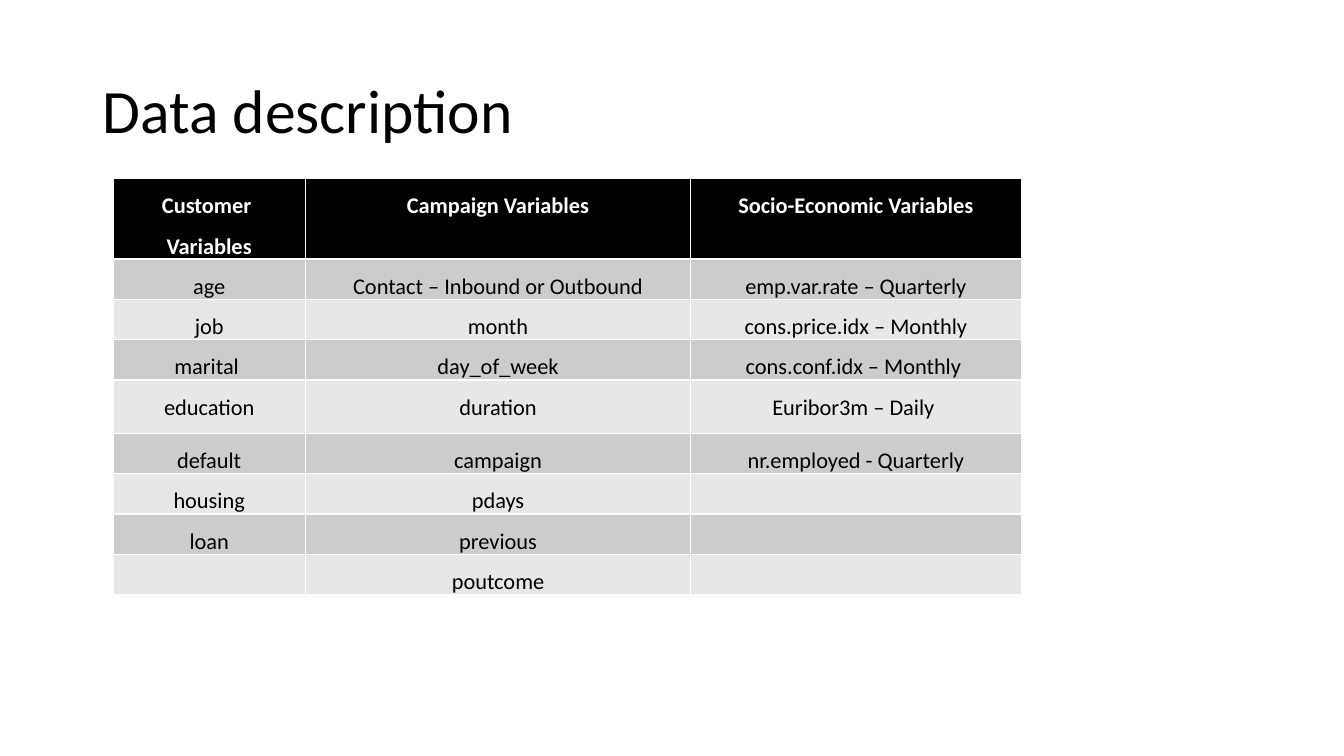
from pptx import Presentation
from pptx.dml.color import RGBColor
from pptx.enum.text import MSO_ANCHOR, PP_ALIGN
from pptx.util import Inches, Pt

BLACK = RGBColor(0x00, 0x00, 0x00)
WHITE = RGBColor(0xFF, 0xFF, 0xFF)
DARK_BAND = RGBColor(0xCC, 0xCC, 0xCC)
LIGHT_BAND = RGBColor(0xE7, 0xE7, 0xE7)
FONT = "Calibri"

COLUMN_WIDTHS = [1.91, 3.82, 3.28]
ROW_HEIGHTS = [0.48, 0.31, 0.38, 0.38, 0.53, 0.36, 0.31, 0.31, 0.34]
VARIABLES = [
    ("Customer \vVariables", "Campaign Variables", "Socio-Economic Variables"),
    ("age", "Contact – Inbound or Outbound", "emp.var.rate – Quarterly"),
    ("job", "month", "cons.price.idx – Monthly"),
    ("marital ", "day_of_week", "cons.conf.idx – Monthly "),
    ("education", "duration", "Euribor3m – Daily "),
    ("default", "campaign", "nr.employed - Quarterly"),
    ("housing", "pdays", ""),
    ("loan", "previous", ""),
    ("", "poutcome", ""),
]


def format_runs(paragraph, size, color, bold):
    for run in paragraph.runs:
        run.font.name = FONT
        run.font.size = Pt(size)
        run.font.bold = bold
        run.font.color.rgb = color


presentation = Presentation()
presentation.slide_width = Inches(13.33)
presentation.slide_height = Inches(7.5)
slide = presentation.slides.add_slide(presentation.slide_layouts[6])

title = slide.shapes.add_textbox(Inches(0.92), Inches(0.4), Inches(11.5), Inches(1.45))
title.text_frame.word_wrap = True
title.text_frame.vertical_anchor = MSO_ANCHOR.MIDDLE
title.text_frame.text = "Data description"
title_paragraph = title.text_frame.paragraphs[0]
title_paragraph.line_spacing = 0.9
format_runs(title_paragraph, 44, BLACK, False)

table = slide.shapes.add_table(
    len(ROW_HEIGHTS), len(COLUMN_WIDTHS),
    Inches(1.12), Inches(1.77), Inches(sum(COLUMN_WIDTHS)), Inches(sum(ROW_HEIGHTS)),
).table
for column, width in zip(table.columns, COLUMN_WIDTHS):
    column.width = Inches(width)

for row_index, (row, height, names) in enumerate(zip(table.rows, ROW_HEIGHTS, VARIABLES)):
    row.height = Inches(height)
    header = row_index == 0
    band = DARK_BAND if row_index % 2 else LIGHT_BAND
    for cell, name in zip(row.cells, names):
        cell.fill.solid()
        cell.fill.fore_color.rgb = BLACK if header else band
        cell.margin_left = cell.margin_right = Inches(0.06)
        cell.margin_top = cell.margin_bottom = 0
        if name:
            paragraph = cell.text_frame.paragraphs[0]
            paragraph.text = name
            paragraph.alignment = PP_ALIGN.CENTER
            paragraph.line_spacing = 1.5
            paragraph.space_after = Pt(8)
            format_runs(paragraph, 16, WHITE if header else BLACK, header)

presentation.save("out.pptx")
